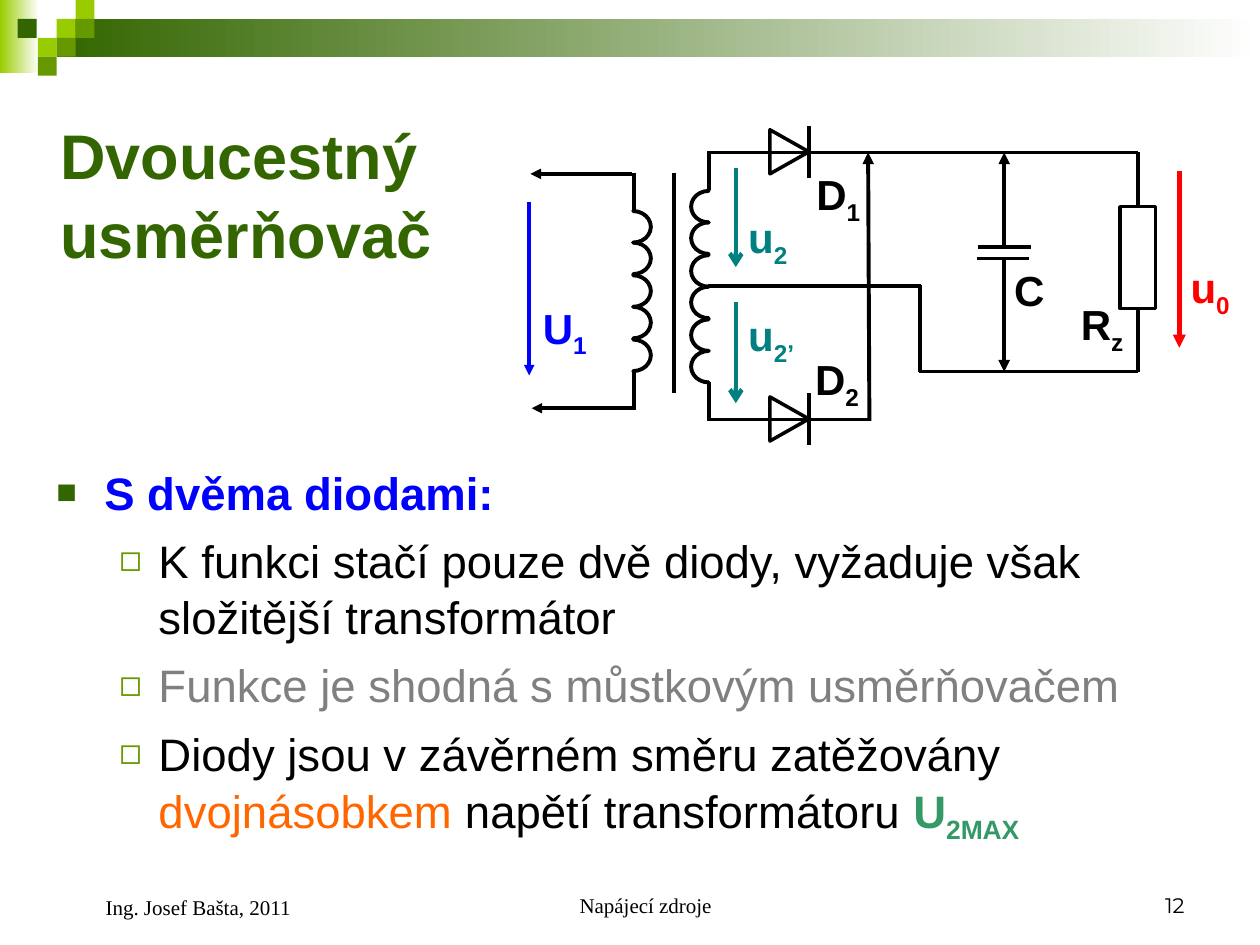
from lxml import etree
from pptx import Presentation
from pptx.dml.color import RGBColor
from pptx.enum.shapes import MSO_CONNECTOR, MSO_SHAPE
from pptx.enum.text import MSO_ANCHOR, PP_ALIGN
from pptx.oxml.ns import qn
from pptx.util import Emu, Pt

PX = 9144
RECTANGLE, TRIANGLE, ARC = MSO_SHAPE.RECTANGLE, MSO_SHAPE.ISOSCELES_TRIANGLE, MSO_SHAPE.BLOCK_ARC
STRAIGHT = MSO_CONNECTOR.STRAIGHT
TOP, MIDDLE, BOTTOM = MSO_ANCHOR.TOP, MSO_ANCHOR.MIDDLE, MSO_ANCHOR.BOTTOM
LEFT, CENTER, RIGHT = PP_ALIGN.LEFT, PP_ALIGN.CENTER, PP_ALIGN.RIGHT
BLACK, WHITE, BLUE, RED, TEAL = "000000", "FFFFFF", "0000FF", "FF0000", "008080"
LIME, OLIVE, GREEN = "99CC00", "669900", "336600"
GRAY, ORANGE, SEA = "808080", "FF6600", "339966"


def px(value):
    return Emu(round(value * PX))


def color(value):
    return RGBColor.from_string(value)


def apply(target, values):
    for name, value in values.items():
        setattr(target, name, value)


class Slide:
    font = "Arial"
    label_size = 24

    def __init__(self, deck):
        self.page = deck.slides.add_slide(deck.slide_layouts[6])

    def shape(self, kind, box, fill=None, line=None, width=2, rotation=0):
        shape = self.page.shapes.add_shape(kind, *map(px, box))
        shape.shadow.inherit = False
        shape.rotation = rotation
        if fill:
            shape.fill.solid()
            shape.fill.fore_color.rgb = color(fill)
        else:
            shape.fill.background()
        if line:
            shape.line.color.rgb = color(line)
            shape.line.width = Pt(width)
        else:
            shape.line.fill.background()
        return shape

    def fade(self, box, start, end):
        fill = self.shape(RECTANGLE, box).fill
        fill.gradient()
        fill.gradient_angle = 0
        for stop, value in zip(fill.gradient_stops, (start, end)):
            stop.color.rgb = color(value)

    def coil(self, left, top, count, rotation):
        for turn in range(count):
            arc = self.shape(ARC, (left, top + round(25.4 * turn), 25, 28),
                             "CCCC00", BLACK, 2.25, rotation)
            for index, value in enumerate((108, 0, 0)):
                arc.adjustments[index] = value

    def line(self, start, end, stroke=BLACK, width=2, head=None, tail=None):
        line = self.page.shapes.add_connector(STRAIGHT, *map(px, start + end))
        line.line.color.rgb = color(stroke)
        line.line.width = Pt(width)
        outline = line.line._get_or_add_ln()
        for tag, kind in (("a:headEnd", head), ("a:tailEnd", tail)):
            if kind:
                etree.SubElement(outline, qn(tag), type=kind)
        etree.SubElement(line._element.spPr, qn("a:effectLst"))
        return line

    def diode(self, top):
        self.shape(TRIANGLE, (609, top + 5, 35, 31), line=BLACK, rotation=90)
        self.line((642, top), (642, top + 41))

    def text(self, box, paragraphs, anchor=TOP):
        frame = self.page.shapes.add_textbox(*map(px, box)).text_frame
        apply(frame, {"word_wrap": True, "vertical_anchor": anchor})
        for index, (spans, layout, mark) in enumerate(paragraphs):
            para = frame.paragraphs[0] if index == 0 else frame.add_paragraph()
            self.indent(para, **mark)
            apply(para, layout)
            if index == 0:
                para.space_before = Pt(0)
            for words, form in spans:
                self.span(para, words, **form)

    def indent(self, para, margin=0, hanging=0, bullet=None, tint=BLACK, percent=100):
        properties = para._p.get_or_add_pPr()
        properties.set("marL", str(px(margin)))
        properties.set("indent", str(px(-hanging)))
        if bullet:
            holder = etree.SubElement(properties, qn("a:buClr"))
            etree.SubElement(holder, qn("a:srgbClr"), val=tint)
            etree.SubElement(properties, qn("a:buSzPct"), val=str(percent * 1000))
            etree.SubElement(properties, qn("a:buFont"), typeface=self.font)
            etree.SubElement(properties, qn("a:buChar"), char=bullet)

    def span(self, para, words, size, tint=BLACK, bold=False, font=None, low=False):
        for index, piece in enumerate(words.split("\n")):
            if index:
                para.add_line_break()
            span = para.add_run()
            span.text = piece
            apply(span.font, {"size": Pt(size), "bold": bold, "name": font or self.font})
            span.font.color.rgb = color(tint)
            if low:
                span._r.get_or_add_rPr().set("baseline", "-25000")

    def label(self, box, letter, index, tint=BLACK):
        form = {"size": self.label_size, "tint": tint, "bold": True}
        spans = [(letter, form)]
        if index:
            spans.append((index, {**form, "low": True}))
        self.text(box, [(spans, {}, {})])


def draw_banner(slide):
    slide.fade((0, 0, 31, 58), LIME, WHITE)
    slide.fade((45, 15, 955, 30), GREEN, WHITE)
    for left, top, fill in ((45, 15, LIME), (60, 0, LIME), (60, 15, OLIVE), (30, 30, LIME),
                            (14, 15, GREEN), (45, 30, OLIVE), (30, 45, OLIVE)):
        slide.shape(RECTANGLE, (left, top, 15, 15), fill)


def draw_circuit(slide):
    resistor = slide.shape(RECTANGLE, (889, 164, 28, 81), line=BLACK)
    slide.line((903, 121), (903, 164)).end_connect(resistor, 0)
    slide.line((903, 245), (903, 295)).begin_connect(resistor, 2)
    slide.coil(490, 166, 5, 90)
    slide.coil(550, 150, 6, 270)
    for top in (100, 312):
        slide.diode(top)
    for start, end in (((564, 121), (903, 121)), ((564, 333), (691, 333)),
                       ((562, 227), (731, 227)), ((730, 226), (730, 295)),
                       ((729, 295), (903, 295)), ((776, 196), (818, 196)),
                       ((775, 205), (817, 205))):
        slide.line(start, end)
    for start, end in (((503, 137), (503, 168)), ((503, 295), (503, 325)),
                       ((563, 120), (563, 151)), ((563, 303), (563, 334)),
                       ((535, 137), (535, 312))):
        slide.line(start, end, width=2.25)
    for start, end, stroke, width, tail in (
            ((502, 138), (421, 138), BLACK, 2, "triangle"),
            ((503, 324), (422, 324), BLACK, 2, "triangle"),
            ((420, 160), (420, 298), BLUE, 2, "triangle"),
            ((936, 136), (936, 276), RED, 2.5, "triangle"),
            ((584, 133), (584, 212), TEAL, 2.5, "arrow"),
            ((584, 240), (584, 320), TEAL, 2.5, "arrow"),
            ((797, 206), (797, 295), BLACK, 2.25, "triangle")):
        slide.line(start, end, stroke, width, tail=tail)
    for start, end in (((689, 121), (690, 334)), ((797, 121), (797, 196))):
        slide.line(start, end, width=2.25, head="triangle")
    for box, letter, index, tint in (
            ((638, 129, 65, 56), "D", "1", BLACK),
            ((637, 276, 65, 56), "D", "2", BLACK),
            ((848, 232, 59, 56), "R", "z", BLACK),
            ((795, 205, 59, 50), "C", "", BLACK),
            ((935, 203, 65, 56), "u", "0", RED),
            ((584, 163, 64, 56), "u", "2", TEAL),
            ((584, 241, 64, 56), "u", "2’", TEAL),
            ((421, 235, 71, 56), "U", "1", BLUE)):
        slide.label(box, letter, index, tint)


def write_text(slide):
    title = {"size": 36, "tint": GREEN, "bold": True}
    slide.text((38, 85, 348, 135),
               [([("Dvoucestný\nusměrňovač", title)], {"line_spacing": 1.04}, {})], MIDDLE)

    plain = {"size": 26}
    strong = {"size": 26, "tint": SEA, "bold": True}
    layout = {"space_before": Pt(6.5), "line_spacing": 1.04}
    first = {"margin": 38, "hanging": 38, "bullet": "■", "tint": GREEN, "percent": 75}
    second = {"margin": 81, "hanging": 31, "bullet": "◻", "tint": OLIVE, "percent": 80}
    points = [
        [("K funkci stačí pouze dvě diody, vyžaduje však složitější transformátor", plain)],
        [("Funkce je shodná s můstkovým usměrňovačem", {"size": 26, "tint": GRAY})],
        [("Diody jsou v závěrném směru zatěžovány ", plain),
         ("dvojnásobkem", {"size": 26, "tint": ORANGE}),
         (" napětí transformátoru ", plain),
         ("U", strong), ("2MAX", {**strong, "low": True})],
    ]
    heading = [("S dvěma diodami:", {"size": 26, "tint": BLUE, "bold": True})]
    slide.text((35, 362, 900, 311),
               [(heading, layout, first)] + [(spans, layout, second) for spans in points])

    for box, words, font, align, margin in (
            ((342, 683, 317, 50), "Napájecí zdroje", "Times New Roman", CENTER, 24),
            ((717, 683, 233, 50), "12", "Montserrat", RIGHT, 0),
            ((50, 683, 233, 52), "Ing. Josef Bašta, 2011", "Times New Roman", LEFT, 24)):
        spans = [(words, {"size": 12, "font": font})]
        slide.text(box, [(spans, {"alignment": align}, {"margin": margin})], BOTTOM)


def main():
    deck = Presentation()
    apply(deck, {"slide_width": px(1000), "slide_height": px(750)})
    slide = Slide(deck)
    draw_banner(slide)
    draw_circuit(slide)
    write_text(slide)
    deck.save("out.pptx")


if __name__ == "__main__":
    main()
